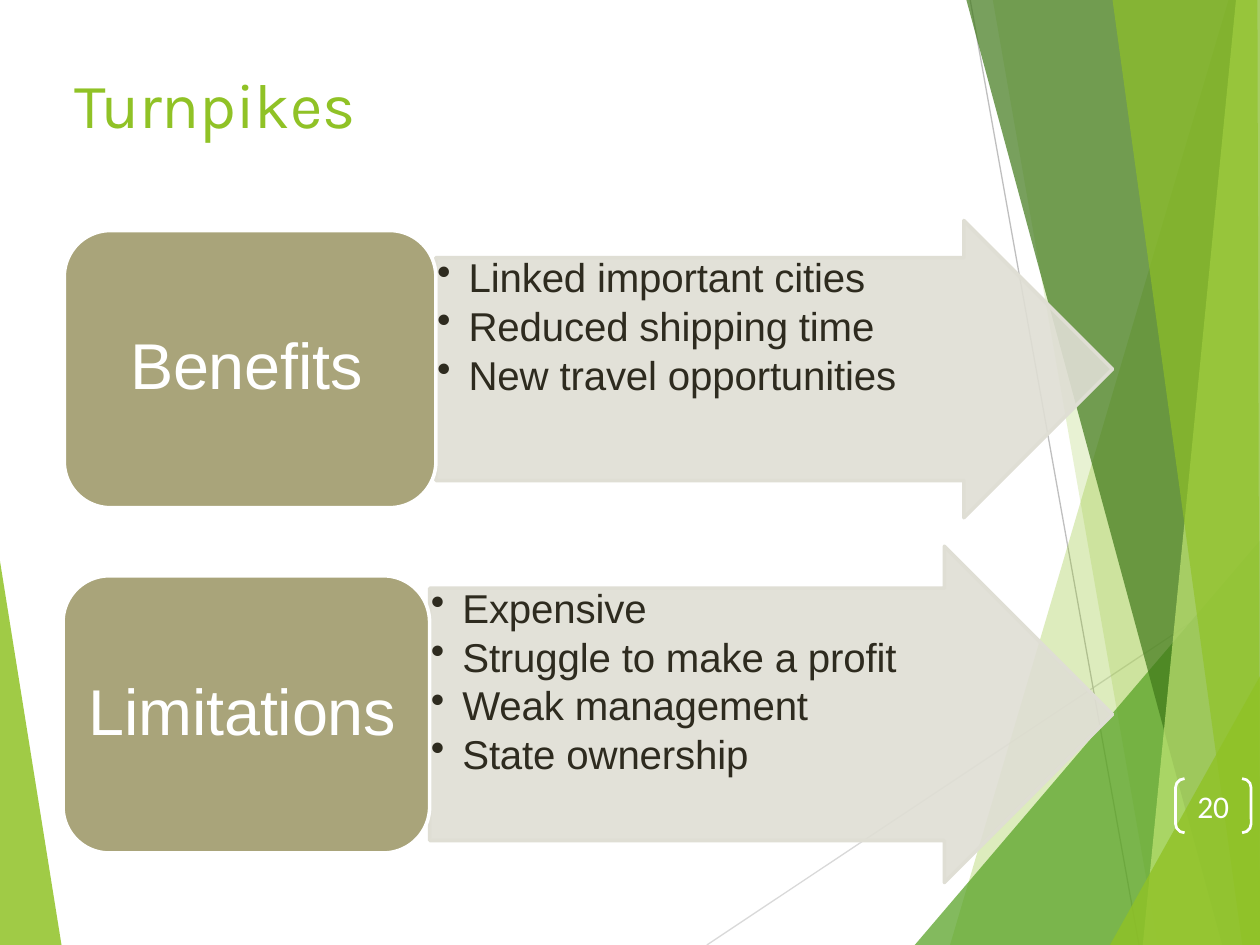
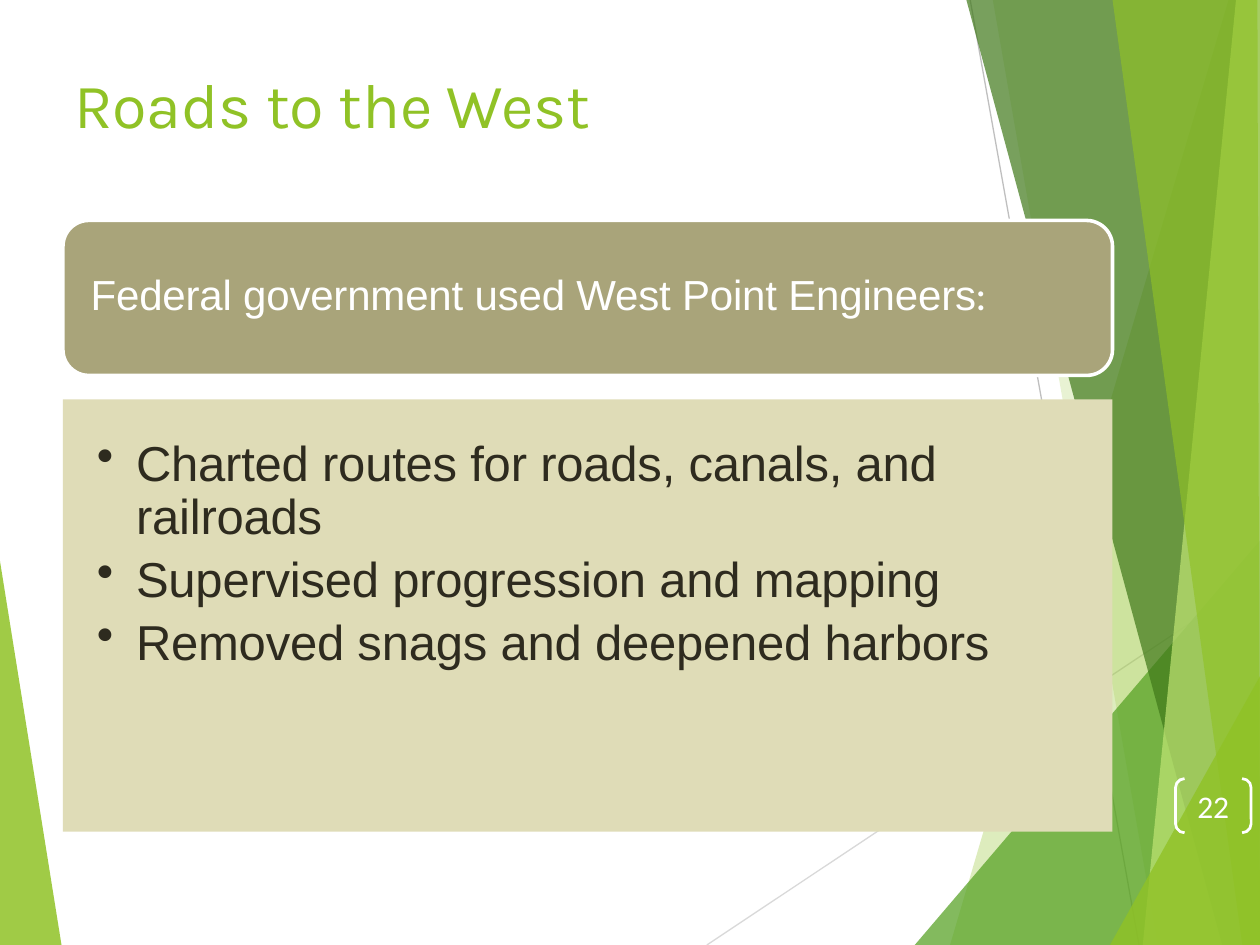
import pptx
import pptx.util
import pptx.dml.color
import pptx.enum.shapes
import pptx.enum.text
import pptx.oxml.ns
from lxml import etree

Inches = pptx.util.Inches
Pt = pptx.util.Pt
KIND = pptx.enum.shapes.MSO_SHAPE
ALIGN = pptx.enum.text.PP_ALIGN
ANCHOR = pptx.enum.text.MSO_ANCHOR

COLORS = {
    "lime": "90C226", "green": "54A021", "forest": "3F7819", "pale": "C0E474",
    "white": "FFFFFF", "rule": "D9D9D9", "grey": "BFBFBF",
    "khaki": "A9A47A", "stone": "DFDED4", "sand": "DFDCB7", "ink": "2E2B1F",
}

# Backdrop: lines (colour, start, end) and facets (colour, opacity, corners)
LINES = [
    ("rule", (5.61, 7.5), (10.01, 4.57)),
    ("grey", (7.7, 0), (9.04, 7.5)),
]
WEDGE = ("lime", 85, [(-0.01, 4.39), (0.49, 7.51), (-0.01, 7.5)])
FACETS = [
    ("lime", 30, [(9.75, 0), (7.54, 7.5), (10.02, 7.51), (10.01, 0)]),
    ("lime", 20, [(7.88, 0), (9.19, 7.5), (10.01, 7.5), (10.01, 0)]),
    ("green", 72, [(7.26, 7.5), (10, 4.29), (10.01, 7.5)]),
    ("forest", 70, [(7.67, 0), (9.7, 7.5), (10.01, 7.5), (10.01, 0)]),
    ("pale", 70, [(9.81, 0), (9.07, 7.5), (10.01, 7.5), (10, 0)]),
    ("lime", 65, [(8.83, 0), (9.86, 7.5), (10, 7.5), (9.98, 0)]),
    ("lime", 80, [(8.81, 7.5), (10.01, 5.35), (10.01, 7.5)]),
]


def color(name):
    return pptx.dml.color.RGBColor.from_string(COLORS[name])


def add_xml(parent, tag, **attrs):
    return etree.SubElement(parent, pptx.oxml.ns.qn(tag), **attrs)


def paint(shape, fill=None, line=None, width=2.04, alpha=100):
    """Set fill, outline and opacity, and drop the shadow."""
    shape.shadow.inherit = False
    if fill:
        shape.fill.solid()
        shape.fill.fore_color.rgb = color(fill)
        if alpha < 100:
            tone = next(shape._element.spPr.iter(pptx.oxml.ns.qn("a:srgbClr")))
            add_xml(tone, "a:alpha", val=str(alpha * 1000))
    else:
        shape.fill.background()
    if line:
        shape.line.color.rgb = color(line)
        shape.line.width = Pt(width)
    else:
        shape.line.fill.background()


def add_box(slide, kind, box, **look):
    shape = slide.shapes.add_shape(kind, *map(Inches, box))
    paint(shape, **look)
    return shape


def set_frame(frame, left=0, top=0, right=0, bottom=0, anchor=ANCHOR.TOP):
    frame.word_wrap = True
    frame.auto_size = pptx.enum.text.MSO_AUTO_SIZE.NONE
    frame.margin_left, frame.margin_top = Inches(left), Inches(top)
    frame.margin_right, frame.margin_bottom = Inches(right), Inches(bottom)
    frame.vertical_anchor = anchor


def style(para, size, tone, font="Arial", align=ALIGN.LEFT):
    para.alignment = align
    for run in para.runs:
        run.font.size = Pt(size)
        run.font.name = font
        run.font.color.rgb = color(tone)
        run.font._element.set("spc", "-10")


def add_list(frame, items, size, indent, hang, gaps):
    """Fill a frame with bulleted lines; gaps are the points before each."""
    frame.text = "\n".join(items)
    for para, gap in zip(frame.paragraphs, gaps):
        style(para, size, "ink")
        para.space_before = Pt(gap)
        props = para._p.get_or_add_pPr()
        props.set("marL", str(Inches(indent)))
        props.set("indent", str(-Inches(hang)))
        add_xml(props, "a:buChar", char="•")


def add_facet(slide, tone, alpha, corners):
    first, *rest = [(Inches(x), Inches(y)) for x, y in corners]
    form = slide.shapes.build_freeform(*first)
    form.add_line_segments(rest)
    paint(form.convert_to_shape(), fill=tone, alpha=alpha)


def add_backdrop(slide):
    add_facet(slide, *WEDGE)
    for tone, start, end in LINES:
        line = slide.shapes.add_connector(
            pptx.enum.shapes.MSO_CONNECTOR.STRAIGHT, *map(Inches, start + end))
        line.line.color.rgb = color(tone)
        line.line.width = Pt(0.75)
        add_xml(line._element.spPr, "a:effectLst")
    for facet in FACETS:
        add_facet(slide, *facet)


def add_number(slide, number, box):
    shape = add_box(slide, KIND.DOUBLE_BRACKET, box, line="white", width=1.56)
    frame = shape.text_frame
    set_frame(frame, anchor=ANCHOR.MIDDLE)
    frame.text = str(number)
    style(frame.paragraphs[0], 18, "white", "Calibri", ALIGN.CENTER)


def start_slide(deck, title, number):
    """Add a slide with the shared backdrop, title and page number."""
    slide = deck.slides.add_slide(deck.slide_layouts[5])
    add_backdrop(slide)
    head = slide.shapes.title
    head.left, head.top = Inches(0.59), Inches(0.51)
    head.width, head.height = Inches(6.5), Inches(0.79)
    set_frame(head.text_frame, top=0.01)
    head.text_frame.text = title
    style(head.text_frame.paragraphs[0], 36, "lime", "Karla")
    add_number(slide, number, (9.33, 6.18, 0.6, 0.43))
    return slide


def add_arrow_row(slide, label, items, box, split, tall):
    """Label block of width split, then an arrow of height tall."""
    left, top, width, height = box
    start = left + split
    peak = top + height / 2 - tall / 2
    arrow = add_box(slide, KIND.RIGHT_ARROW, (start, peak, width - split, tall),
                    fill="stone", line="stone", alpha=90)
    arrow.adjustments[0] = 0.75
    arrow.adjustments[1] = 0.5

    # Bullets start at the top of the arrow's shaft
    shaft = peak + tall / 8
    note = slide.shapes.add_textbox(*map(
        Inches, (start, shaft - 0.04, 3.9, tall * 0.75)))
    set_frame(note.text_frame)
    add_list(note.text_frame, items, 23, 0.26, 0.25, [1] + [0.2] * 3)

    # Label block
    block = add_box(slide, KIND.ROUNDED_RECTANGLE, (left, top, split, height),
                    fill="khaki", line="white")
    set_frame(block.text_frame, right=0.06, bottom=0.08, anchor=ANCHOR.MIDDLE)
    block.text_frame.text = label
    style(block.text_frame.paragraphs[0], 37, "white", align=ALIGN.CENTER)


def add_panel(slide, lead, items, box):
    """Rounded heading bar over a flat panel of bullets."""
    left, top, width, height = box
    bar_high, gap = 1.23, 0.19
    bar = add_box(slide, KIND.ROUNDED_RECTANGLE, (left, top, width, bar_high),
                  fill="khaki", line="white")
    set_frame(bar.text_frame, left=0.16, bottom=0.06, anchor=ANCHOR.MIDDLE)
    bar.text_frame.text = lead
    para = bar.text_frame.paragraphs[0]
    colon = para.add_run()
    colon.text = ":"
    style(para, 24, "white")
    colon.font.name = "Calibri"

    below = bar_high + gap
    panel = add_box(slide, KIND.RECTANGLE,
                    (left, top + below, width, height - below), fill="sand")
    frame = panel.text_frame
    set_frame(frame, left=0.25, top=0.31, right=0.9)
    add_list(frame, items, 28, 0.33, 0.31, [4.8, 2.1, 2.6])
    frame.paragraphs[0].line_spacing = Pt(30.3)


def main():
    deck = pptx.Presentation()
    deck.slide_width, deck.slide_height = Inches(10), Inches(7.5)

    pikes = start_slide(deck, "Turnpikes", 20)
    add_arrow_row(pikes, "Benefits",
                  ["Linked important cities", "Reduced shipping time",
                   "New travel opportunities"],
                  (0.51, 1.83, 8.32, 2.2), 2.95, 2.36)
    add_arrow_row(pikes, "Limitations",
                  ["Expensive", "Struggle to make a profit",
                   "Weak management", "State ownership"],
                  (0.5, 4.57, 8.33, 2.2), 2.91, 2.67)

    roads = start_slide(deck, "Roads to the West", 22)
    add_panel(roads, "Federal government used West Point Engineers",
              ["Charted routes for roads, canals, and  railroads",
               "Supervised progression and mapping",
               "Removed snags and deepened harbors"],
              (0.5, 1.75, 8.33, 4.85))

    deck.save("out.pptx")


if __name__ == "__main__":
    main()
